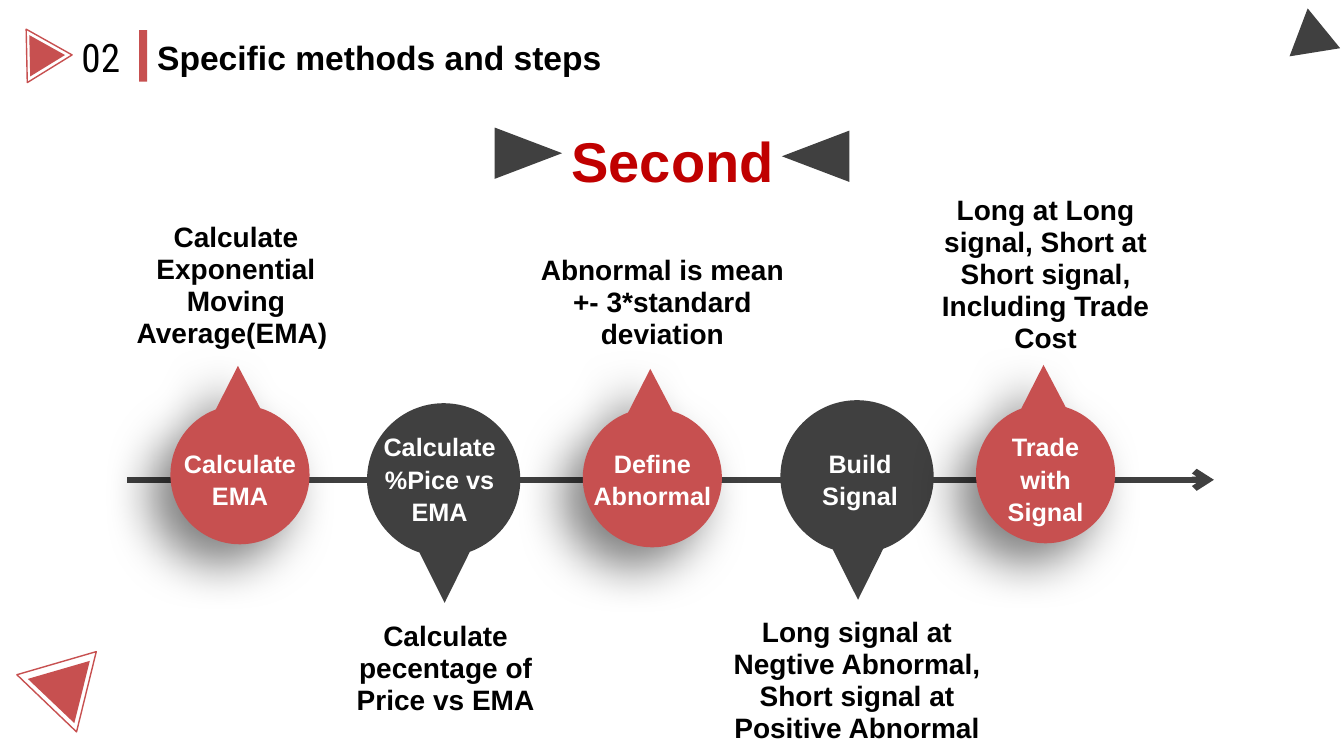
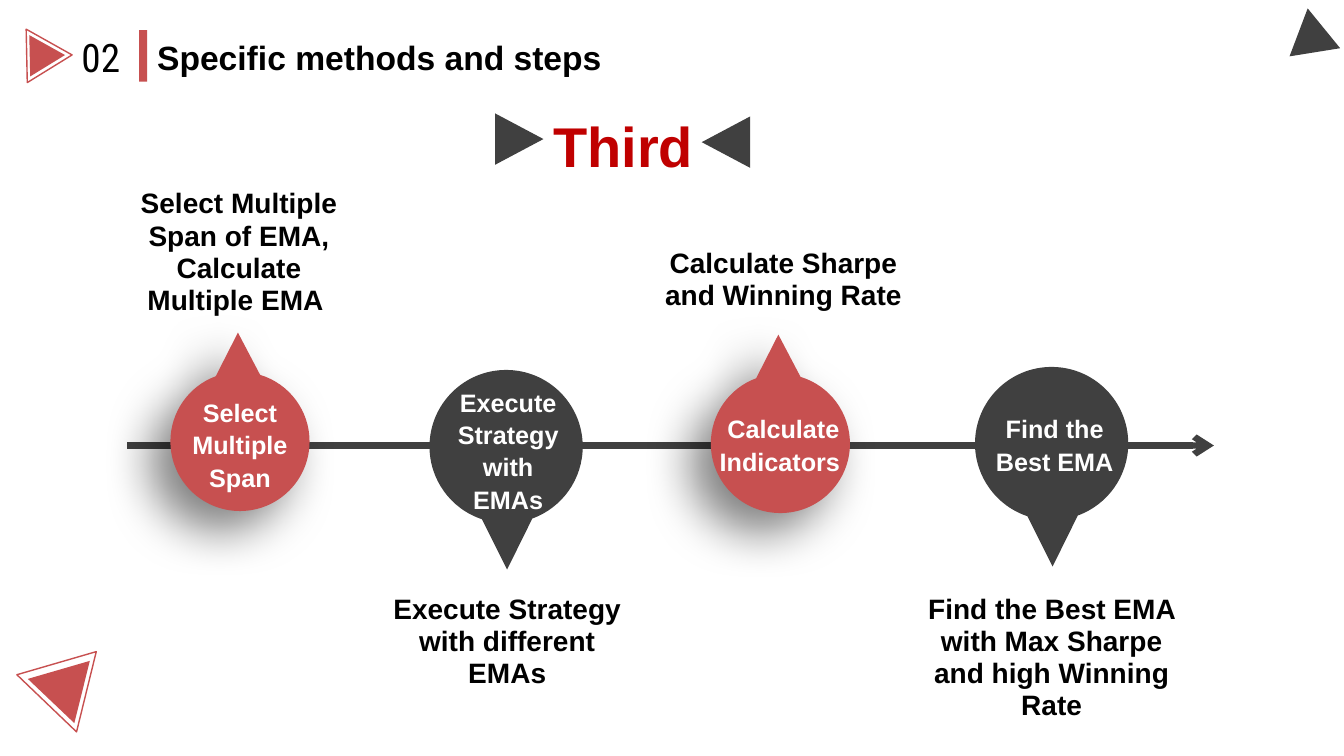
import dataclasses
import itertools
import math

import lxml.etree
import pptx
import pptx.dml.color
import pptx.enum.shapes
import pptx.enum.text
import pptx.oxml.ns
import pptx.util

Inches = pptx.util.Inches
Pt = pptx.util.Pt
SHAPE = pptx.enum.shapes.MSO_SHAPE
ALIGN = pptx.enum.text.PP_ALIGN
ANCHOR = pptx.enum.text.MSO_ANCHOR
qn = pptx.oxml.ns.qn

COLORS = {
    "red": "C75050",
    "dark": "404040",
    "heading": "C00000",
    "text": "000000",
    "light": "FFFFFF",
}
FONT = "Arial"
NUMBER_FONT = "Roboto Condensed"
STEP_SPACING = Pt(23)
LINE_HEIGHT = 0.32
TEXT_MARGINS = 0.11


@dataclasses.dataclass
class Step:
    """A pin; the dy and gap values are measured from the timeline."""
    label: str
    label_lines: int
    caption: str
    caption_lines: int
    pin_x: float
    pin_dy: float
    label_x: float
    caption_x: float
    caption_width: float
    caption_gap: float
    label_width: float = 1.38
    label_dy: float = -0.01


@dataclasses.dataclass
class Timeline:
    heading: str
    heading_box: tuple  # left, width, vertical centre
    arrow_centers: tuple  # left and right (x, y)
    arrow_length: float
    axis_y: float
    steps: list


@dataclasses.dataclass
class PinStyle:
    fill: str
    radius: float
    tip: float
    tip_half_width: float
    lean: float
    direction: int  # -1 points up, 1 points down


PIN_UP = PinStyle("red", 0.69, 1.08, 0.22, -0.02, -1)
PIN_DOWN = PinStyle("dark", 0.76, 1.22, 0.25, 0.01, 1)

TIMELINES = [
    Timeline(
        "Second", (5.57, 2.31, 1.42), ((5.24, 1.52), (8.09, 1.55)), 0.67, 4.76,
        [
            Step("Calculate EMA", 2, "Calculate Exponential Moving Average(EMA) ", 4,
                 2.38, -0.05, 2.38, 2.34, 2.37, 1.23),
            Step("Calculate %Pice vs EMA", 3, "Calculate pecentage of Price vs EMA", 3,
                 4.4, 0, 4.36, 4.42, 2.58, 1.34),
            Step("Define Abnormal ", 2, "Abnormal is mean +- 3*standard deviation", 3,
                 6.47, -0.02, 6.47, 6.57, 2.8, 1.22),
            Step("Build Signal", 2,
                 "Long signal at Negtive Abnormal, Short signal at Positive Abnormal", 4,
                 8.5, -0.03, 8.53, 8.5, 2.81, 1.3),
            Step("Trade with Signal", 3,
                 "Long at Long signal, Short at Short signal, Including Trade Cost", 5,
                 10.37, -0.06, 10.37, 10.37, 2.35, 1.18),
        ],
    ),
    Timeline(
        "Third", (5.39, 1.66, 1.27), ((5.15, 1.38), (7.2, 1.41)), 0.48, 4.42,
        [
            Step("Select Multiple Span", 3,
                 "Select Multiple Span of EMA, Calculate Multiple EMA ", 4,
                 2.38, -0.04, 2.38, 2.37, 2.37, 1.22),
            Step("Execute Strategy with EMAs", 4, "Execute Strategy with different EMAs", 3,
                 5.02, 0.01, 5.04, 5.03, 2.58, 1.41, label_dy=0.05),
            Step("Calculate Indicators ", 2, "Calculate Sharpe and Winning Rate", 2,
                 7.74, -0.02, 7.77, 7.77, 2.68, 1.27, label_width=1.57),
            Step("Find the Best EMA", 2,
                 "Find the Best EMA with Max Sharpe and high Winning Rate", 4,
                 10.43, -0.02, 10.46, 10.43, 2.81, 1.41),
        ],
    ),
]


def rgb(name):
    return pptx.dml.color.RGBColor.from_string(COLORS[name])


def paint(shape, fill=None, line=None):
    shape.shadow.inherit = False
    if fill:
        shape.fill.solid()
        shape.fill.fore_color.rgb = rgb(fill)
    else:
        shape.fill.background()
    if line:
        shape.line.color.rgb = rgb(line)
        shape.line.width = Pt(1)
    else:
        shape.line.fill.background()


def add_text(page, text, left, top, width, height, size, color="text", bold=True,
             font=FONT, align=ALIGN.LEFT, anchor=ANCHOR.TOP, spacing=None):
    box = page.shapes.add_textbox(Inches(left), Inches(top), Inches(width), Inches(height))
    frame = box.text_frame
    frame.word_wrap = True
    frame.vertical_anchor = anchor
    para = frame.paragraphs[0]
    para.text = text
    para.alignment = align
    para.line_spacing = spacing
    para.font.name = font
    para.font.size = Pt(size)
    para.font.bold = bold
    para.font.color.rgb = rgb(color)


def add_triangle(page, center_x, center_y, base, height, angle, fill=None, line=None):
    """Draw a triangle whose tip points up before it turns clockwise by angle."""
    triangle = page.shapes.add_shape(
        SHAPE.ISOSCELES_TRIANGLE, Inches(center_x - base / 2), Inches(center_y - height / 2),
        Inches(base), Inches(height))
    triangle.rotation = angle
    paint(triangle, fill, line)


def add_soft_shadow(shape):
    effects = shape._element.spPr.find(qn("a:effectLst"))
    shadow = lxml.etree.SubElement(
        effects, qn("a:outerShdw"), blurRad=str(Pt(35)), dist=str(Pt(20)),
        dir=str(135 * 60000), algn="tr", rotWithShape="0")
    color = lxml.etree.SubElement(shadow, qn("a:srgbClr"), val=COLORS["text"])
    lxml.etree.SubElement(color, qn("a:alpha"), val="50000")


def arc_points(start, end):
    """Return two control points and the end of a unit arc; angles start at the tip."""
    reach = 4 / 3 * math.tan((end - start) / 4)
    return [
        (math.sin(start) + reach * math.cos(start), math.cos(start) - reach * math.sin(start)),
        (math.sin(end) - reach * math.cos(end), math.cos(end) + reach * math.sin(end)),
        (math.sin(end), math.cos(end)),
    ]


def curve_segments(shape, first):
    """Turn each three line segments from number first on into one Bezier curve."""
    lines = list(shape._element.iter(qn("a:lnTo")))[first:]
    for start in range(0, len(lines), 3):
        curve = lxml.etree.Element(qn("a:cubicBezTo"))
        lines[start].addprevious(curve)
        for line in lines[start:start + 3]:
            curve.append(line[0])
            line.getparent().remove(line)


def add_pin(page, center_x, center_y, style):
    """Draw a disc with a pointed tip."""
    right = math.asin((style.lean + style.tip_half_width) / style.radius)
    left = math.asin((style.lean - style.tip_half_width) / style.radius)
    angles = [right, math.pi / 2, math.pi, 3 * math.pi / 2, 2 * math.pi + left]
    outline = [(style.lean / style.radius, style.tip / style.radius),
               (math.sin(right), math.cos(right))]
    for start, end in itertools.pairwise(angles):
        outline += arc_points(start, end)
    corners = [(Inches(center_x + style.radius * x),
                Inches(center_y + style.direction * style.radius * y)) for x, y in outline]
    builder = page.shapes.build_freeform(*corners[0])
    builder.add_line_segments(corners[1:], close=True)
    pin = builder.convert_to_shape()
    curve_segments(pin, 1)
    paint(pin, style.fill)
    return pin


def add_axis(page, y):
    axis = page.shapes.add_connector(
        pptx.enum.shapes.MSO_CONNECTOR.STRAIGHT,
        Inches(1.26), Inches(y), Inches(12.04), Inches(y))
    axis.line.color.rgb = rgb("dark")
    axis.line.width = Pt(4.5)
    lxml.etree.SubElement(axis.line._get_or_add_ln(), qn("a:tailEnd"), type="arrow")
    lxml.etree.SubElement(axis._element.spPr, qn("a:effectLst"))


def add_step_text(page, text, center_x, top, width, lines, size, color):
    add_text(page, text, center_x - width / 2, top, width, text_height(lines), size, color,
             align=ALIGN.CENTER, spacing=STEP_SPACING)


def text_height(lines):
    return lines * LINE_HEIGHT + TEXT_MARGINS


def add_step(page, step, axis_y, points_up):
    pin = add_pin(page, step.pin_x, axis_y + step.pin_dy, PIN_UP if points_up else PIN_DOWN)
    if points_up:
        add_soft_shadow(pin)
        caption_top = axis_y - step.caption_gap - text_height(step.caption_lines)
    else:
        caption_top = axis_y + step.caption_gap
    label_top = axis_y + step.label_dy - text_height(step.label_lines) / 2
    add_step_text(page, step.label, step.label_x, label_top, step.label_width,
                  step.label_lines, 18, "light")
    add_step_text(page, step.caption, step.caption_x, caption_top, step.caption_width,
                  step.caption_lines, 20, "text")


def add_page_frame(page):
    """Draw the title line and the corner triangles."""
    bar = page.shapes.add_shape(
        SHAPE.RECTANGLE, Inches(1.38), Inches(0.3), Inches(0.08), Inches(0.51))
    paint(bar, "red")
    add_text(page, "02", 0.71, 0.28, 0.75, 0.57, 28, bold=False, font=NUMBER_FONT)
    add_text(page, "Specific methods and steps", 1.46, 0.32, 6.95, 0.5, 24)
    add_triangle(page, 0.49, 0.55, 0.53, 0.45, 88.8, line="red")
    add_triangle(page, 0.47, 0.55, 0.41, 0.35, 88.8, fill="red")
    add_triangle(page, 0.66, 6.92, 0.82, 0.71, 163.8, line="red")
    add_triangle(page, 0.66, 6.91, 0.64, 0.55, 163.8, fill="red")
    add_triangle(page, 12.96, 0.42, 0.51, 0.44, 230.8, fill="dark")


def add_heading(page, timeline):
    left, width, center_y = timeline.heading_box
    add_text(page, timeline.heading, left, center_y - 0.5, width, 1, 40, "heading",
             anchor=ANCHOR.MIDDLE, spacing=1.5)
    for (x, y), angle in zip(timeline.arrow_centers, (90, 270)):
        add_triangle(page, x, y, 0.51, timeline.arrow_length, angle, fill="dark")


def main():
    deck = pptx.Presentation()
    deck.slide_width = Inches(13.33)
    deck.slide_height = Inches(7.5)
    for timeline in TIMELINES:
        page = deck.slides.add_slide(deck.slide_layouts[6])
        add_axis(page, timeline.axis_y)
        for index, step in enumerate(timeline.steps):
            add_step(page, step, timeline.axis_y, points_up=index % 2 == 0)
        add_page_frame(page)
        add_heading(page, timeline)
    deck.save("out.pptx")


if __name__ == "__main__":
    main()
